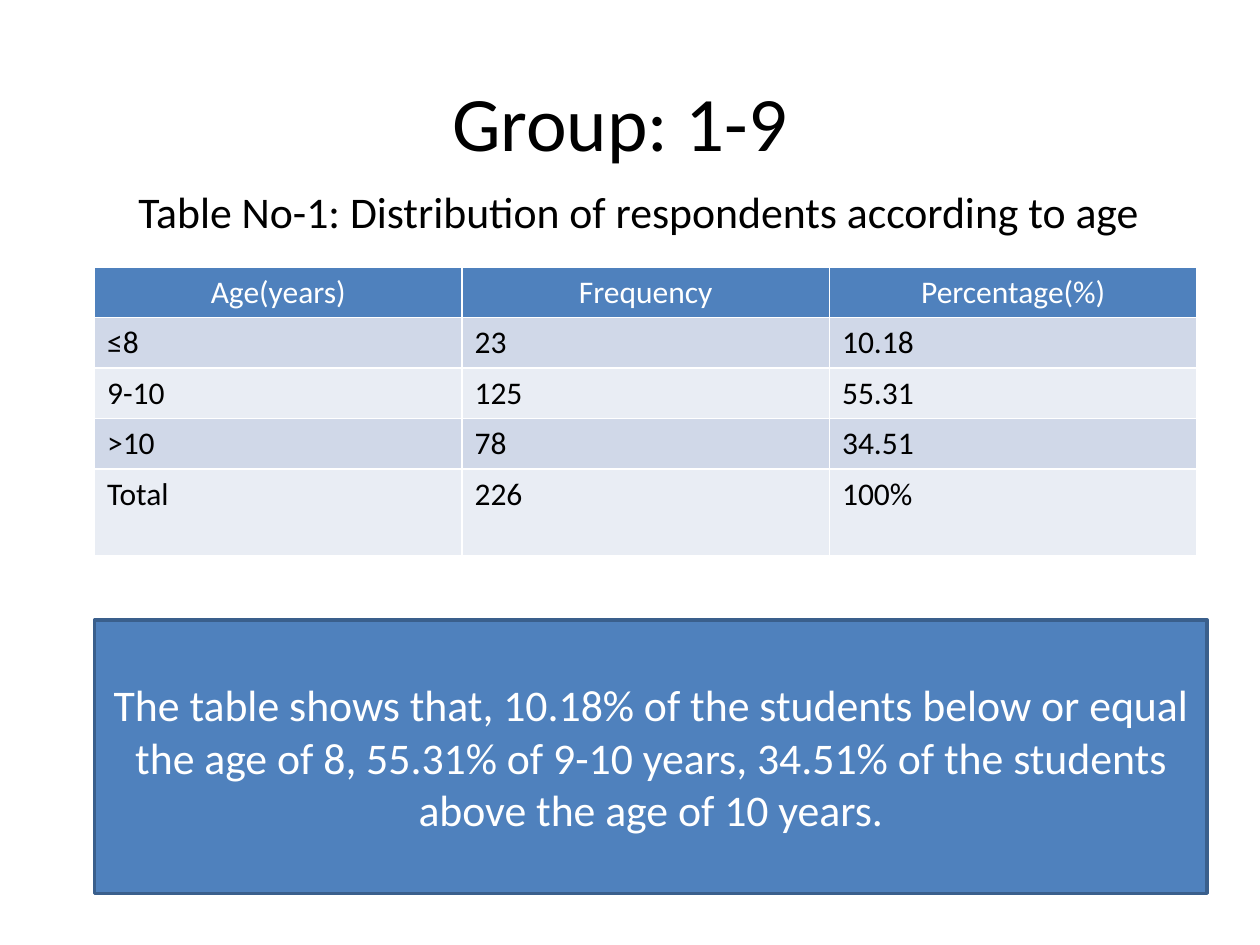
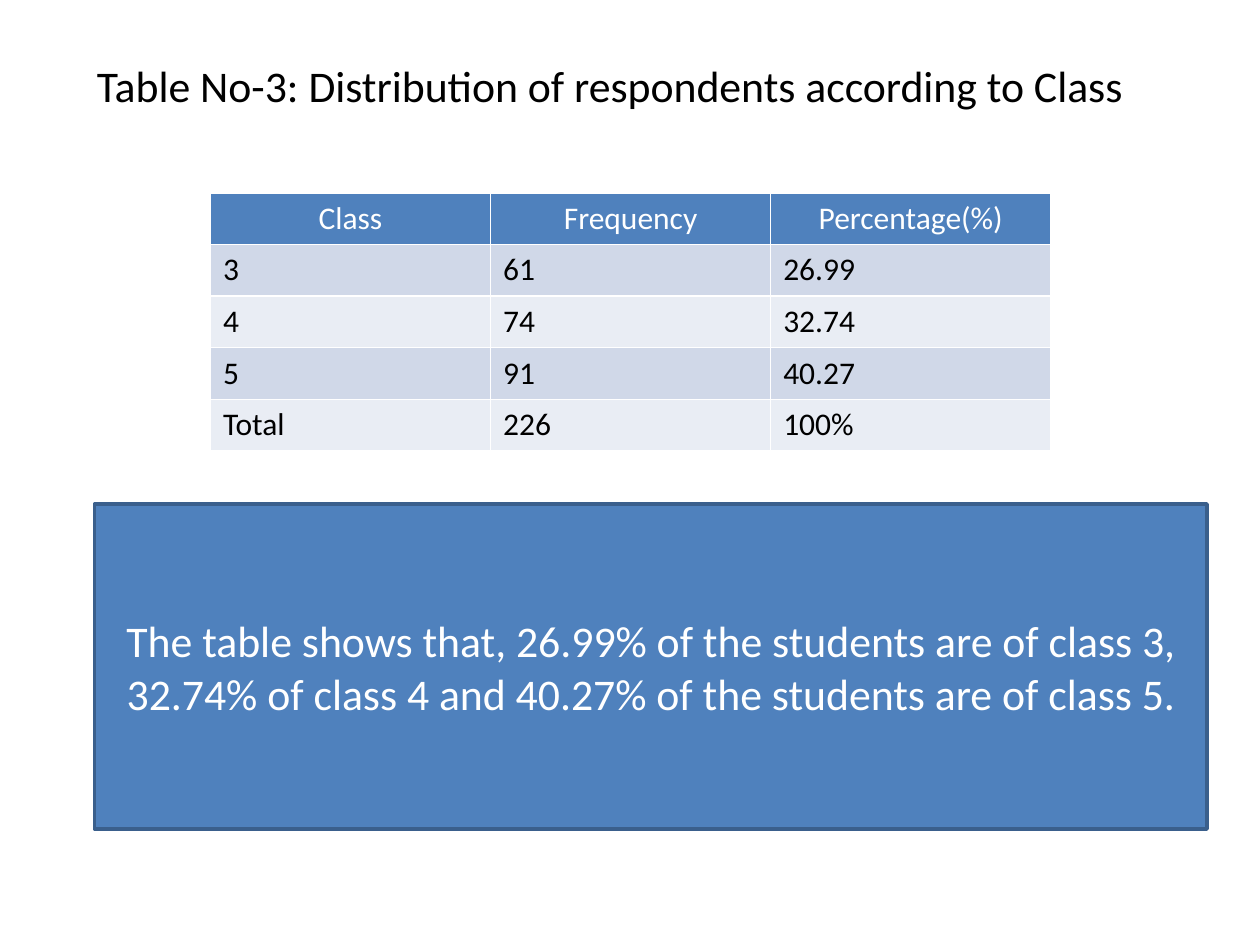
import pptx
import pptx.util
import pptx.dml.color
import pptx.enum.shapes
import pptx.enum.text
import pptx.oxml
import pptx.oxml.ns

Inches = pptx.util.Inches
Pt = pptx.util.Pt
RGBColor = pptx.dml.color.RGBColor
ALIGN = pptx.enum.text.PP_ALIGN
MIDDLE = pptx.enum.text.MSO_ANCHOR.MIDDLE

BLUE = RGBColor(0x4F, 0x81, 0xBD)
EDGE = RGBColor(0x3A, 0x5F, 0x8C)
BANDS = [RGBColor(0xE9, 0xED, 0xF4), RGBColor(0xD0, 0xD8, 0xE8)]
WHITE = RGBColor(0xFF, 0xFF, 0xFF)
BLACK = RGBColor(0, 0, 0)


def write(frame, text, size, color, align=ALIGN.LEFT):
    frame.word_wrap = True
    par = frame.paragraphs[0]
    par.text = text
    par.alignment = align
    par.font.name = "Calibri"
    par.font.size = Pt(size)
    par.font.bold = False
    par.font.color.rgb = color


def border(cell):
    props = cell._tc.get_or_add_tcPr()
    for side in ("lnL", "lnR", "lnT", "lnB"):
        props.append(pptx.oxml.parse_xml(
            f'<a:{side} {pptx.oxml.ns.nsdecls("a")} w="12700"><a:solidFill>'
            f'<a:srgbClr val="{WHITE}"/></a:solidFill></a:{side}>'))


pages = [
    {
        "title": "Group: 1-9",
        "caption": "Table No-1: Distribution of respondents according to age",
        "place": (1, 1.42, 8.5, 0.67),
        "grid": (0.75, 2.12, 8.75),
        "heights": [0.37, 0.37, 0.36, 0.37, 0.69],
        "rows": [
            ("Age(years)", "Frequency", "Percentage(%)"),
            ("≤8", "23", "10.18"),
            ("9-10", "125", "55.31"),
            (">10", "78", "34.51"),
            ("Total", "226", "100%"),
        ],
        "note": "The table shows that, 10.18% of the students below or equal "
                "the age of 8, 55.31% of 9-10 years, 34.51% of the students "
                "above the age of 10 years.",
        "box": (4.92, 2.17),
    },
    {
        "title": None,
        "caption": "Table No-3: Distribution of respondents according to Class",
        "place": (0.67, 0.42, 8.58, 0.67),
        "grid": (1.67, 1.53, 6.67),
        "heights": [0.41] * 5,
        "rows": [
            ("Class", "Frequency", "Percentage(%)"),
            ("3", "61", "26.99"),
            ("4", "74", "32.74"),
            ("5", "91", "40.27"),
            ("Total", "226", "100%"),
        ],
        "note": "The table shows that, 26.99% of the students are of class 3, "
                "32.74% of class 4 and 40.27% of the students are of class 5.",
        "box": (4, 2.58),
    },
]

deck = pptx.Presentation()
deck.slide_width = Inches(10)
deck.slide_height = Inches(7.5)

for page in pages:
    shapes = deck.slides.add_slide(deck.slide_layouts[6]).shapes

    if page["title"]:
        title = shapes.add_textbox(Inches(0.67), Inches(0.33), Inches(8.5), Inches(1.25))
        title.text_frame.vertical_anchor = MIDDLE
        write(title.text_frame, page["title"], 44, BLACK, ALIGN.CENTER)

    caption = shapes.add_textbox(*map(Inches, page["place"]))
    write(caption.text_frame, page["caption"], 25, BLACK)

    rows, heights = page["rows"], page["heights"]
    left, top, width = page["grid"]
    table = shapes.add_table(len(rows), len(rows[0]), Inches(left), Inches(top),
                             Inches(width), Inches(sum(heights))).table
    for r, row in enumerate(rows):
        table.rows[r].height = Inches(heights[r])
        for c, text in enumerate(row):
            cell = table.cell(r, c)
            border(cell)
            cell.fill.solid()
            cell.fill.fore_color.rgb = BANDS[r % 2] if r else BLUE
            if r:
                write(cell.text_frame, text, 18, BLACK)
            else:
                write(cell.text_frame, text, 18, WHITE, ALIGN.CENTER)

    top, height = page["box"]
    box = shapes.add_shape(pptx.enum.shapes.MSO_SHAPE.RECTANGLE, Inches(0.75),
                           Inches(top), Inches(8.83), Inches(height))
    box.shadow.inherit = False
    box.fill.solid()
    box.fill.fore_color.rgb = BLUE
    box.line.color.rgb = EDGE
    box.line.width = Pt(2)
    box.text_frame.vertical_anchor = MIDDLE
    write(box.text_frame, page["note"], 25, WHITE, ALIGN.CENTER)

deck.save("out.pptx")
